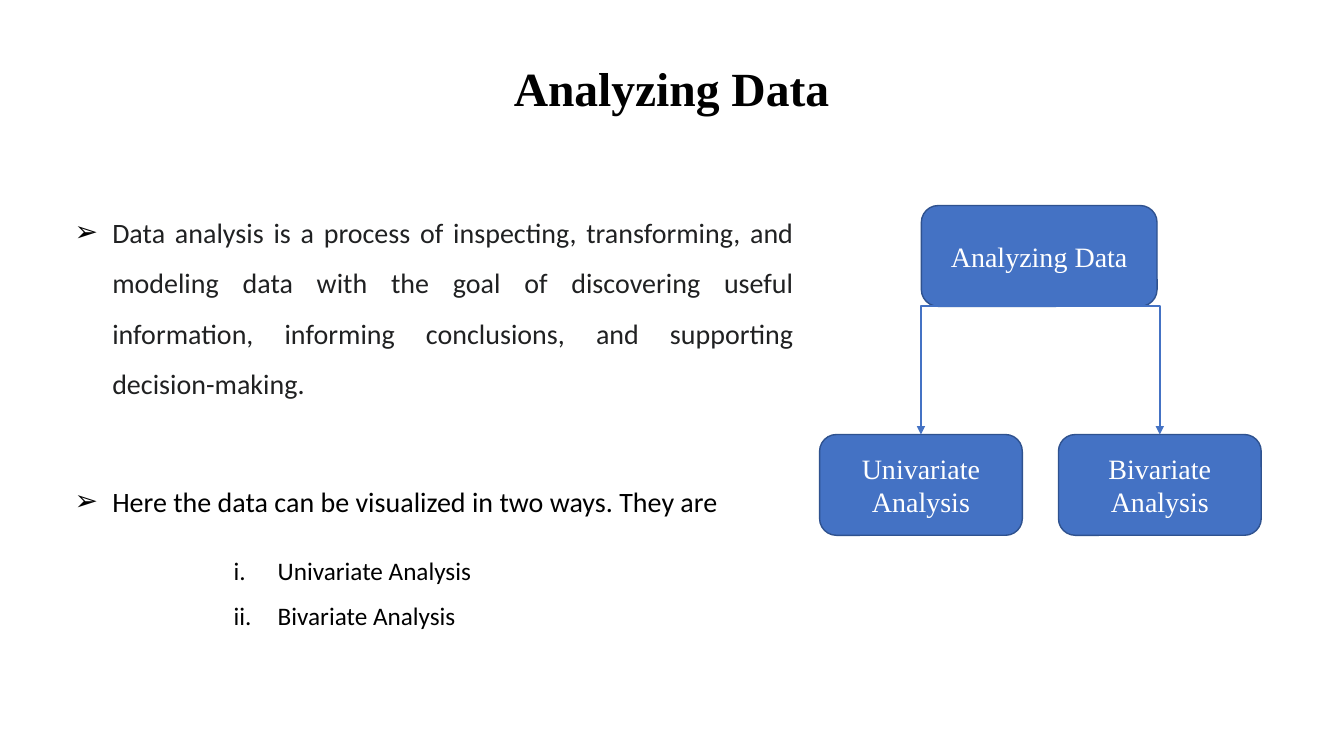
import dataclasses

import pptx
import pptx.dml.color
import pptx.enum.shapes
import pptx.enum.text
import pptx.oxml
import pptx.oxml.ns
import pptx.util
from lxml import etree

Cm = pptx.util.Cm
Pt = pptx.util.Pt
Align = pptx.enum.text.PP_ALIGN
Anchor = pptx.enum.text.MSO_ANCHOR
Fit = pptx.enum.text.MSO_AUTO_SIZE
qn = pptx.oxml.ns.qn


@dataclasses.dataclass(frozen=True)
class Theme:
    serif: str = "Times New Roman"
    sans: str = "Calibri"
    black: str = "000000"
    ink: str = "202122"
    white: str = "FFFFFF"
    blue: str = "4472C4"
    navy: str = "2F528F"
    title: int = 34
    body: int = 20
    item: int = 18


THEME = Theme()


def rgb(code):
    return pptx.dml.color.RGBColor.from_string(code)


def write(frame, text, *, font, size, color, bold=False, align=Align.LEFT,
          lines=None, before=0):
    """Fill the frame's empty first paragraph, or add one, and return it."""
    para = frame.paragraphs[-1]
    if para.runs:
        para = frame.add_paragraph()
    para.alignment = align
    para.space_before = Pt(before)
    if lines:
        para.line_spacing = lines
    run = para.add_run()
    run.text = text
    run.font.name = font
    run.font.size = Pt(size)
    run.font.bold = bold
    run.font.color.rgb = rgb(color)
    return para


def mark(para, indent, tag, **attrs):
    """Give a paragraph a hanging indent and a black bullet or number."""
    props = para._p.get_or_add_pPr()
    props.set("marL", str(Cm(indent)))
    props.set("indent", str(-Cm(indent)))
    tint = etree.SubElement(props, qn("a:buClr"))
    etree.SubElement(tint, qn("a:srgbClr"), val=THEME.black)
    etree.SubElement(props, qn("a:buFont"), typeface="Arial")
    etree.SubElement(props, qn(tag), **attrs)


def head(slide, text):
    title = slide.shapes.title
    title.left, title.top = Cm(11.25), Cm(1.37)
    title.width, title.height = Cm(11.35), Cm(1.7)
    frame = title.text_frame
    frame.auto_size = Fit.NONE
    frame.vertical_anchor = Anchor.TOP
    write(frame, text, font=THEME.serif, size=THEME.title,
          color=THEME.black, bold=True, align=Align.CENTER)


def area(slide, left, top, width, height):
    box = slide.shapes.add_textbox(Cm(left), Cm(top), Cm(width), Cm(height))
    box.text_frame.word_wrap = True
    return box.text_frame


def node(slide, text, center, top, width, height=2.54):
    shape = slide.shapes.add_shape(
        pptx.enum.shapes.MSO_SHAPE.ROUNDED_RECTANGLE,
        Cm(center - width / 2), Cm(top), Cm(width), Cm(height))
    shape.shadow.inherit = False
    shape.fill.solid()
    shape.fill.fore_color.rgb = rgb(THEME.blue)
    shape.line.color.rgb = rgb(THEME.navy)
    shape.line.width = Pt(1)
    frame = shape.text_frame
    frame.word_wrap = True
    frame.vertical_anchor = Anchor.MIDDLE
    write(frame, text, font=THEME.serif, size=THEME.body,
          color=THEME.white, align=Align.CENTER)
    return shape


def link(slide, upper, lower):
    """Run an arrow sideways from the upper node, then down to the lower."""
    arrow = slide.shapes.add_connector(
        pptx.enum.shapes.MSO_CONNECTOR.ELBOW,
        upper.left + upper.width // 2, upper.top + upper.height,
        lower.left + lower.width // 2, lower.top)
    arrow.line.color.rgb = rgb(THEME.blue)
    arrow.line.width = Pt(1.5)
    props = arrow._element.spPr
    props.find(qn("a:prstGeom")).set("prst", "bentConnector2")
    etree.SubElement(props.find(qn("a:ln")), qn("a:tailEnd"), type="triangle")
    etree.SubElement(props, qn("a:effectLst"))


def main():
    deck = pptx.Presentation()
    deck.slide_width, deck.slide_height = Cm(33.87), Cm(19.05)
    slide = deck.slides.add_slide(deck.slide_layouts[5])
    head(slide, "Analyzing Data")

    body = area(slide, 1.63, 4.88, 18.62, 8.6)
    points = [
        ("Data analysis is a process of inspecting, transforming, and "
         "modeling data with the goal of discovering useful information, "
         "informing conclusions, and supporting decision-making.",
         THEME.ink, Align.JUSTIFY, 0),
        ("Here the data can be visualized in two ways. They are",
         THEME.black, Align.LEFT, 48),
    ]
    for text, color, align, before in points:
        para = write(body, text, font=THEME.sans, size=THEME.body,
                     color=color, align=align, lines=1.5, before=before)
        mark(para, 0.95, "a:buChar", char="➢")

    kinds = ["Univariate Analysis", "Bivariate Analysis"]
    ways = area(slide, 5.64, 13.49, 7.44, 3.33)
    for kind in kinds:
        para = write(ways, kind, font=THEME.sans, size=THEME.item,
                     color=THEME.black, align=Align.JUSTIFY, lines=1.5)
        mark(para, 1.11, "a:buAutoNum", type="romanLcPeriod")

    root = node(slide, "Analyzing Data", 26.19, 5.18, 5.94)
    for index, kind in enumerate(kinds):
        leaf = node(slide, kind, 23.21 + 6.02 * index, 10.95, 5.11)
        link(slide, root, leaf)

    deck.save("out.pptx")


if __name__ == "__main__":
    main()
